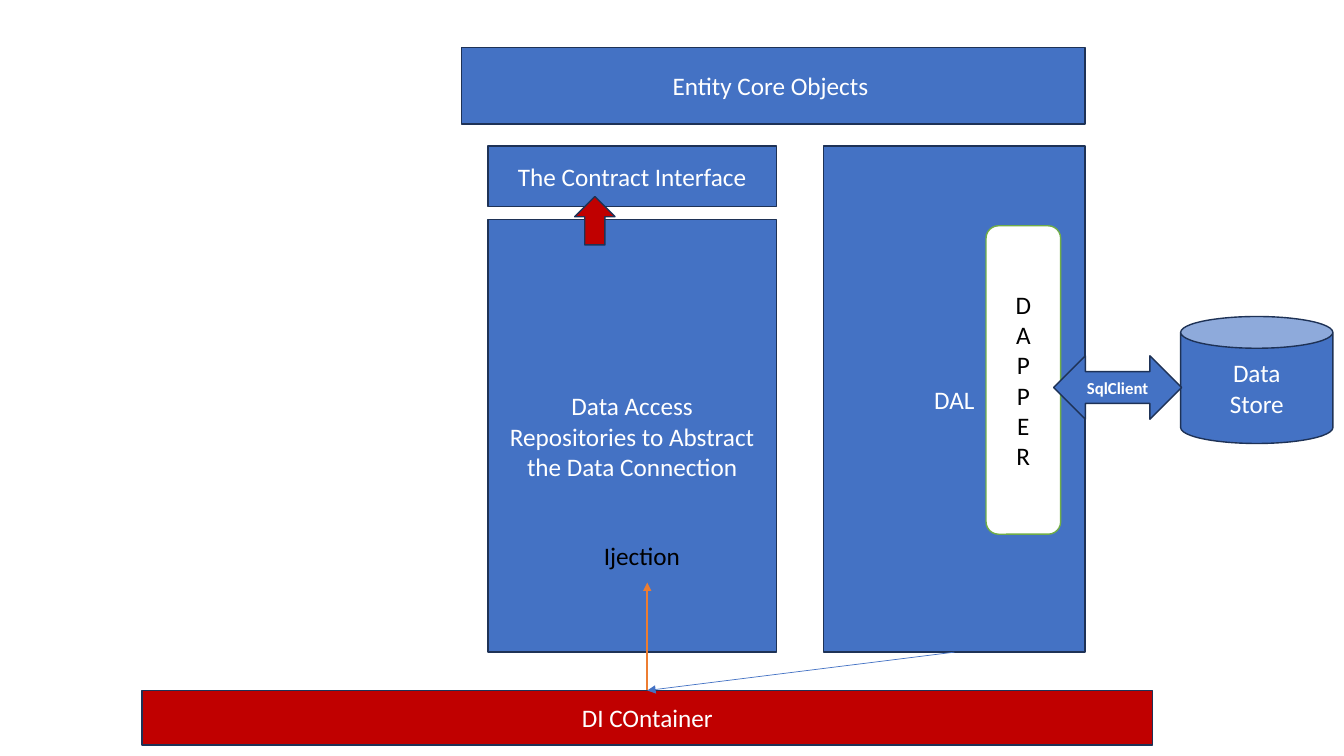
from pptx import Presentation
from pptx.dml.color import RGBColor
from pptx.enum.shapes import MSO_CONNECTOR, MSO_SHAPE
from pptx.enum.text import MSO_ANCHOR, MSO_AUTO_SIZE, PP_ALIGN
from pptx.oxml.ns import qn
from pptx.util import Inches, Pt
from lxml.etree import SubElement

BLUE = RGBColor(0x44, 0x72, 0xC4)
NAVY = RGBColor(0x1E, 0x32, 0x56)
RED = RGBColor(0xC0, 0x00, 0x00)
GREEN = RGBColor(0x70, 0xAD, 0x47)
ORANGE = RGBColor(0xED, 0x7D, 0x31)
WHITE = RGBColor(0xFF, 0xFF, 0xFF)
BLACK = RGBColor(0x00, 0x00, 0x00)

TOP, BASE = 1.45, 6.47
REPO_X, REPO_W = 4.84, 2.86
DAL_X, DAL_W = 8.17, 2.59
CORE_X = 4.58
DI_X, DI_Y, DI_W = 1.41, 6.85, 10.02
REPO_Y = 2.18
EDGE = DAL_X + DAL_W
HUB = (DI_X + DI_W / 2, DI_Y)

RECT = MSO_SHAPE.RECTANGLE
PLAIN = (BLUE, NAVY, WHITE, 18, False)
ALERT = (RED, NAVY, WHITE, 18, False)
PANEL = (WHITE, GREEN, BLACK, 18, False)
SMALL = (BLUE, NAVY, WHITE, 12, True)

BLOCKS = [
    (RECT, (DAL_X, TOP, DAL_W, BASE - TOP), ["DAL"], PLAIN),
    (RECT, (CORE_X, 0.47, EDGE - CORE_X, 0.76), ["Entity Core Objects "], PLAIN),
    (MSO_SHAPE.CAN, (11.71, 3.14, 1.51, 1.26), ["Data", "Store"], PLAIN),
    (MSO_SHAPE.ROUNDED_RECTANGLE, (9.78, 2.24, 0.74, 3.06), list("DAPPER"), PANEL),
    (MSO_SHAPE.LEFT_RIGHT_ARROW, (10.45, 3.53, 1.27, 0.63), ["SqlClient"], SMALL),
    (RECT, (REPO_X, REPO_Y, REPO_W, BASE - REPO_Y),
     ["Data Access", "Repositories to Abstract the Data Connection"], PLAIN),
    (RECT, (DI_X, DI_Y, DI_W, 0.54), ["DI COntainer"], ALERT),
    (RECT, (REPO_X, TOP, REPO_W, 0.6), ["The Contract Interface"], PLAIN),
    (MSO_SHAPE.UP_ARROW, (5.7, 1.95, 0.4, 0.48), [], ALERT),
]
LINKS = [
    ((DAL_X + DAL_W / 2, BASE), HUB, BLUE, 0.5),
    (HUB, (HUB[0], 5.78), ORANGE, 1.5),
]
LABEL = ((5.89, 5.31, 1.2, 0.4), ["Ijection"])


def write(frame, lines, tint, size, bold, align):
    for i, line in enumerate(lines):
        para = frame.add_paragraph() if i else frame.paragraphs[0]
        para.alignment = align
        run = para.add_run()
        run.text = line
        font = run.font
        font.name, font.size, font.bold = "Calibri", Pt(size), bold
        font.color.rgb = tint


def block(kind, box, lines, style):
    fill, edge, tint, size, bold = style
    shape = slide.shapes.add_shape(kind, *map(Inches, box))
    shape.shadow.inherit = False
    shape.fill.solid()
    shape.fill.fore_color.rgb = fill
    shape.line.color.rgb = edge
    shape.line.width = Pt(1)
    frame = shape.text_frame
    frame.word_wrap = True
    frame.vertical_anchor = MSO_ANCHOR.MIDDLE
    write(frame, lines, tint, size, bold, PP_ALIGN.CENTER)


def link(start, end, tint, width):
    line = slide.shapes.add_connector(
        MSO_CONNECTOR.STRAIGHT, *map(Inches, start + end))
    line.line.color.rgb = tint
    line.line.width = Pt(width)
    SubElement(line.line._get_or_add_ln(), qn("a:tailEnd"), type="triangle")
    SubElement(line._element.spPr, qn("a:effectLst"))


deck = Presentation()
deck.slide_width, deck.slide_height = Inches(13.33), Inches(7.5)
slide = deck.slides.add_slide(deck.slide_layouts[6])
for item in BLOCKS:
    block(*item)
for item in LINKS:
    link(*item)
box, lines = LABEL
frame = slide.shapes.add_textbox(*map(Inches, box)).text_frame
frame.word_wrap = True
frame.auto_size = MSO_AUTO_SIZE.SHAPE_TO_FIT_TEXT
write(frame, lines, BLACK, 18, False, PP_ALIGN.LEFT)
deck.save("out.pptx")
